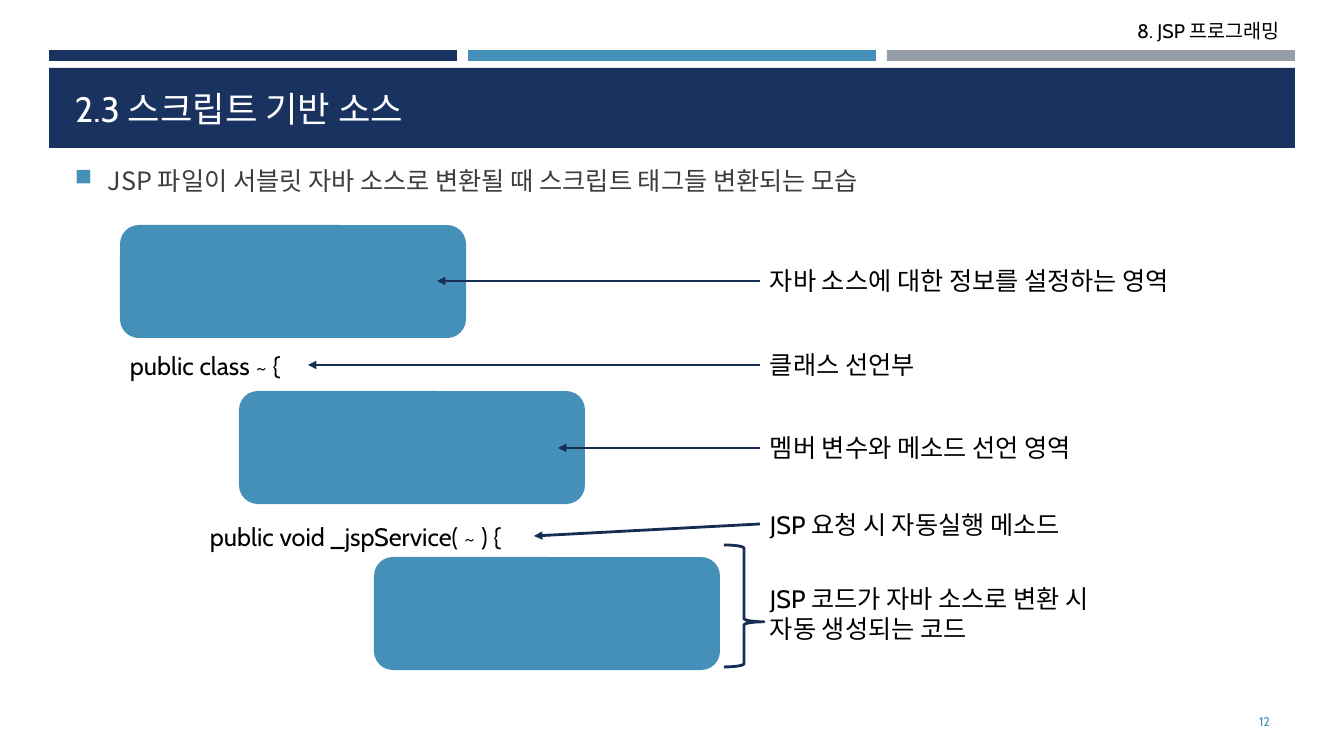
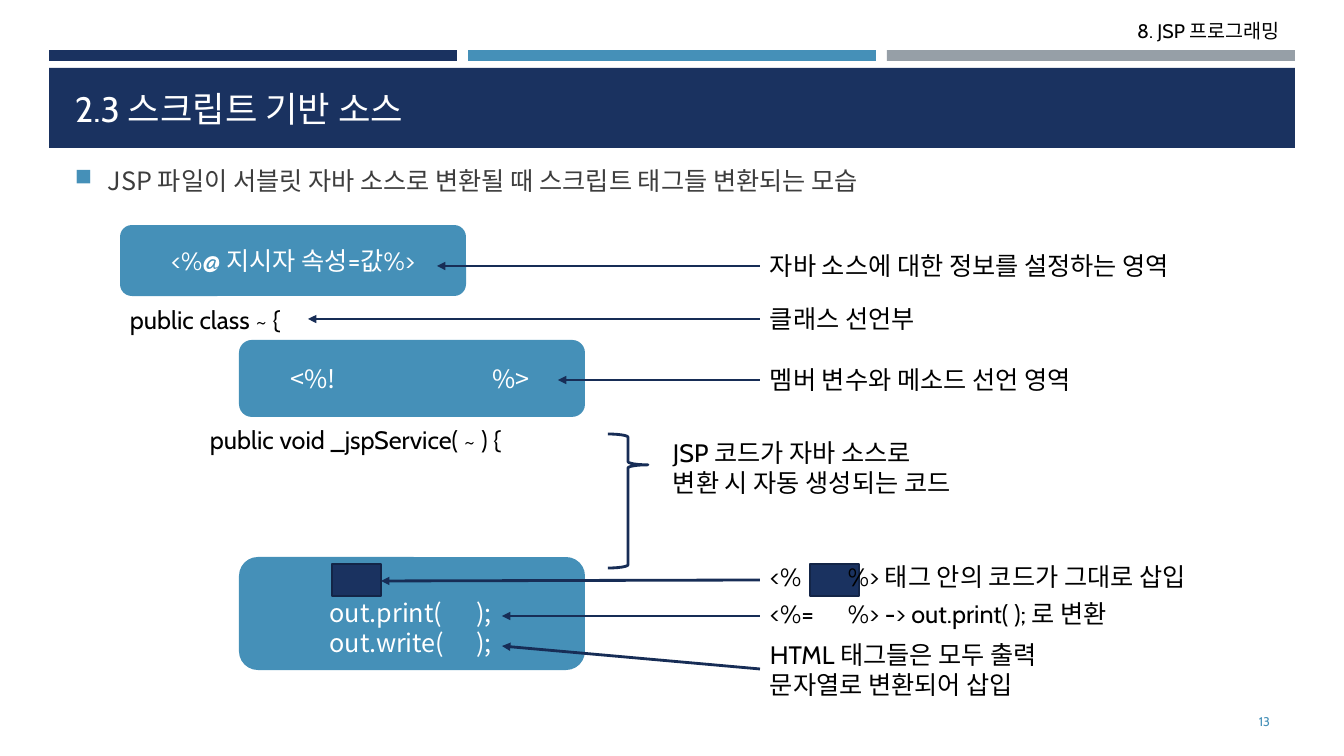
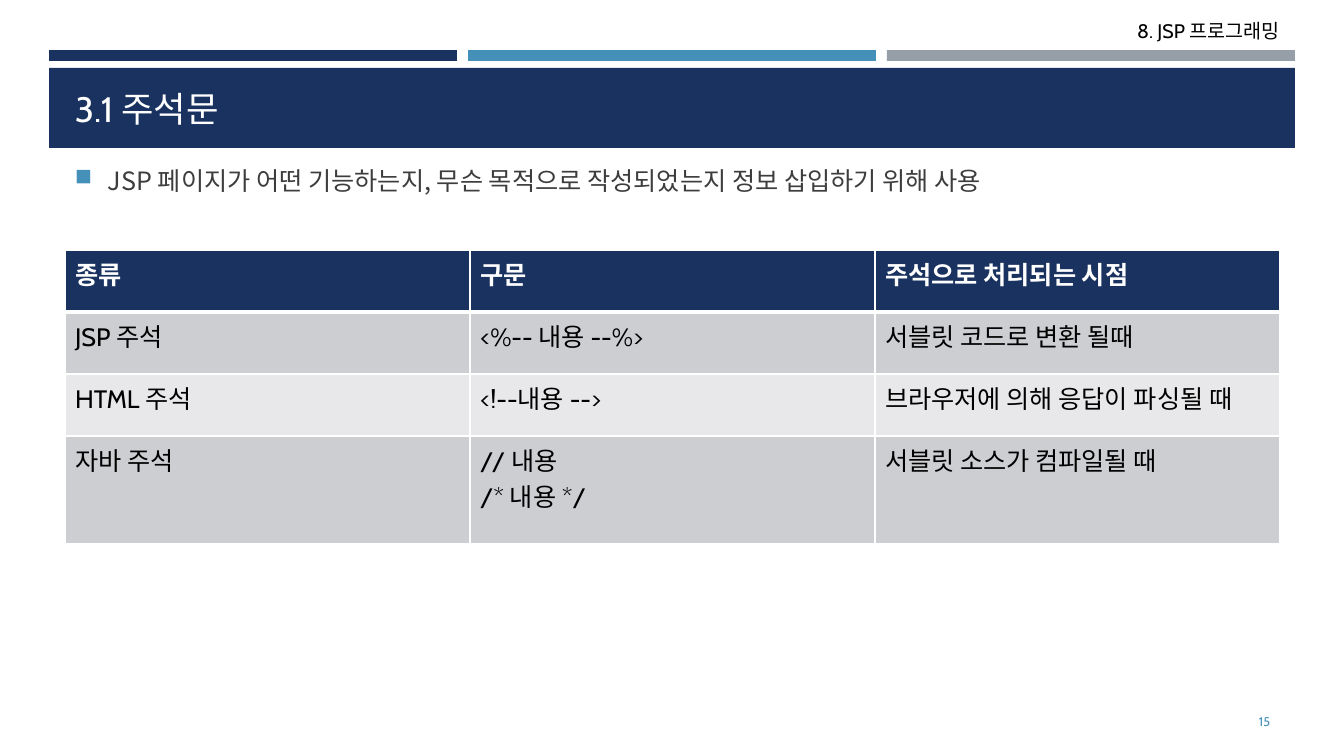
from dataclasses import dataclass

from lxml import etree
from pptx import Presentation
from pptx.dml.color import RGBColor
from pptx.enum.shapes import MSO_CONNECTOR, MSO_SHAPE
from pptx.enum.text import MSO_ANCHOR, PP_ALIGN
from pptx.oxml.ns import qn
from pptx.util import Emu, Pt

RECT = MSO_SHAPE.RECTANGLE
ROUND = MSO_SHAPE.ROUNDED_RECTANGLE
BRACE = MSO_SHAPE.RIGHT_BRACE
STRAIGHT = MSO_CONNECTOR.STRAIGHT
LEFT, CENTER, RIGHT = PP_ALIGN.LEFT, PP_ALIGN.CENTER, PP_ALIGN.RIGHT
TOP, MIDDLE, BOTTOM = MSO_ANCHOR.TOP, MSO_ANCHOR.MIDDLE, MSO_ANCHOR.BOTTOM

BLANK = 6
LINE_HEIGHT = 1.2


@dataclass(frozen=True)
class Theme:
    navy: str = "1A3260"
    blue: str = "4590B8"
    gray: str = "969FA7"
    edge: str = "132547"
    arrow: str = "172D56"
    black: str = "000000"
    white: str = "FFFFFF"
    body: str = "3D3D3D"
    row_dark: str = "CDCED2"
    row_light: str = "E8E8EA"
    latin: str = "Cabin"
    korean: str = "Noto Sans CJK KR"
    title_size: float = 25.2
    text_size: float = 18
    header_size: float = 14
    number_size: float = 9


def px(n):
    return Emu(round(n * 914400 / 100.8))


def rgb(color):
    return RGBColor.from_string(color)


def child(parent, tag, **attrs):
    return etree.SubElement(parent, qn(tag), {k: str(v) for k, v in attrs.items()})


class Deck:
    def __init__(self, theme):
        self.t = theme
        self.prs = Presentation()
        self.prs.slide_width, self.prs.slide_height = px(1344), px(756)
        self.s = None

    def new_slide(self, title, number, bullet):
        t = self.t
        self.s = self.prs.slides.add_slide(self.prs.slide_layouts[BLANK])
        for i, color in enumerate((t.navy, t.blue, t.gray)):
            self.box(RECT, 49 + 419 * i, 50, 408, 11, color)
        self.text("8. JSP 프로그래밍", 883, 14, 407, 34, t.header_size, align=RIGHT)
        self.box(RECT, 49, 68, 1246, 80, t.navy)
        self.text(title, 65, 78, 1215, 57, t.title_size, t.white, anchor=BOTTOM)
        self.text(str(number), 1164, 702, 116, 40, t.number_size, t.blue,
                  align=RIGHT, anchor=MIDDLE)
        self.bullet(bullet)

    def style(self, p, size, color, latin=None, align=LEFT, bold=False):
        p.alignment = align
        p.font.size = Pt(size)
        p.font.bold = bold
        p.font.color.rgb = rgb(color)
        p.font.name = latin or self.t.latin
        child(p._p.pPr.find(qn("a:defRPr")), "a:ea", typeface=self.t.korean)

    def fill_text(self, sp, text, size, color, latin=None, align=LEFT,
                  anchor=TOP, tab=None):
        tf = sp.text_frame
        tf.word_wrap = True
        tf.vertical_anchor = anchor
        for i, line in enumerate(text.split("\n")):
            p = tf.add_paragraph() if i else tf.paragraphs[0]
            p.text = line
            p.line_spacing = Pt(size * LINE_HEIGHT)
            if tab:
                tabs = child(p._p.get_or_add_pPr(), "a:tabLst")
                child(tabs, "a:tab", pos=px(tab), algn="l")
            self.style(p, size, color, latin, align)
        return tf

    def text(self, text, x, y, w, h, size=None, color=None, **options):
        sp = self.s.shapes.add_textbox(px(x), px(y), px(w), px(h))
        return self.fill_text(sp, text, size or self.t.text_size,
                              color or self.t.black, **options)

    def label(self, text, x, y, tab=None):
        lines = text.count("\n") + 1
        self.text(text, x, y, 520, 10 + 30 * lines, tab=tab)

    def bullet(self, text):
        tf = self.text(text, 65, 160, 1215, 50, color=self.t.body, latin=self.t.korean)
        pPr = tf.paragraphs[0]._p.pPr
        pPr.set("marL", str(px(33)))
        pPr.set("indent", str(-px(33)))
        marks = etree.Element("marks")
        child(child(marks, "a:buClr"), "a:srgbClr", val=self.t.blue)
        child(marks, "a:buSzPct", val=92000)
        child(marks, "a:buChar", char="■")
        defaults = pPr.find(qn("a:defRPr"))
        for mark in list(marks):
            defaults.addprevious(mark)

    def box(self, kind, x, y, w, h, fill=None, line=None, width=2):
        sp = self.s.shapes.add_shape(kind, px(x), px(y), px(w), px(h))
        sp.shadow.inherit = False
        if fill:
            sp.fill.solid()
            sp.fill.fore_color.rgb = rgb(fill)
        else:
            sp.fill.background()
        if line:
            sp.line.color.rgb = rgb(line)
            sp.line.width = Pt(width)
        else:
            sp.line.fill.background()
        return sp

    def area(self, x, y, h, text="", inset=10, bottom=5, **options):
        sp = self.box(ROUND, x, y, 346, h, self.t.blue)
        if text:
            tf = self.fill_text(sp, text, self.t.text_size, self.t.white, **options)
            tf.margin_left = px(inset)
            tf.margin_bottom = px(bottom)

    def code_block(self, x, y):
        self.box(RECT, x, y, 49, 32, self.t.navy, self.t.edge, 1.75)

    def brace(self, x, y, h, point):
        sp = self.box(BRACE, x, y, 40, h, line=self.t.arrow)
        sp.adjustments[0] = 0.08
        sp.adjustments[1] = point

    def arrow(self, y1, x2, y2=None):
        y2 = y1 if y2 is None else y2
        c = self.s.shapes.add_connector(STRAIGHT, px(760), px(y1), px(x2), px(y2))
        c.line.color.rgb = rgb(self.t.arrow)
        c.line.width = Pt(2)
        child(c.line._get_or_add_ln(), "a:tailEnd", type="triangle")
        child(c._element.spPr, "a:effectLst")

    def border(self, cell, bottom):
        tcPr = cell._tc.get_or_add_tcPr()
        for side in "LRTB":
            width = bottom if side == "B" else 1
            ln = child(tcPr, f"a:ln{side}", w=Pt(width))
            child(child(ln, "a:solidFill"), "a:srgbClr", val=self.t.white)

    def table(self, x, y, col_width, heights, rows):
        t = self.t
        frame = self.s.shapes.add_table(len(rows), len(rows[0]), px(x), px(y),
                                        px(col_width * len(rows[0])), px(sum(heights)))
        tbl = frame.table
        for col in tbl.columns:
            col.width = px(col_width)
        for i, (height, row) in enumerate(zip(heights, rows)):
            tbl.rows[i].height = px(height)
            head = i == 0
            fill = t.navy if head else t.row_dark if i % 2 else t.row_light
            for j, text in enumerate(row):
                cell = tbl.cell(i, j)
                cell.text = text
                self.border(cell, 3 if head else 1)
                cell.fill.solid()
                cell.fill.fore_color.rgb = rgb(fill)
                for p in cell.text_frame.paragraphs:
                    self.style(p, t.text_size, t.white if head else t.black, bold=head)


SCRIPT_TITLE = "2.3 스크립트 기반 소스"
SCRIPT_BULLET = "JSP 파일이 서블릿 자바 소스로 변환될 때 스크립트 태그들 변환되는 모습"
CLASS_CODE = "public class ~ {"
SERVICE_CODE = "public void _jspService( ~ ) {"
REGIONS = (
    ("자바 소스에 대한 정보를 설정하는 영역", 437),
    ("클래스 선언부", 308),
    ("멤버 변수와 메소드 선언 영역", 558),
)


def script_slide(deck, number, class_y, service_y, region_ys):
    deck.new_slide(SCRIPT_TITLE, number, SCRIPT_BULLET)
    deck.label(CLASS_CODE, 120, class_y)
    deck.label(SERVICE_CODE, 200, service_y)
    for (text, _), y in zip(REGIONS, region_ys):
        deck.label(text, 760, y - 21)


def region_arrows(deck, region_ys):
    for (_, x), y in zip(REGIONS, region_ys):
        deck.arrow(y, x)


def empty_areas(deck):
    ys = (281, 365, 448)
    script_slide(deck, 12, 345, 516, ys)
    for x, y in ((120, 225), (239, 391), (374, 557)):
        deck.area(x, y, 113)
    deck.label("JSP 요청 시 자동실행 메소드", 760, 504)
    deck.label("JSP 코드가 자바 소스로 변환 시\n자동 생성되는 코드", 760, 578)
    region_arrows(deck, ys)
    deck.brace(724, 545, 122, 0.63)
    deck.arrow(524, 534, 536)


def filled_areas(deck):
    korean = deck.t.korean
    ys = (266, 319, 380)
    script_slide(deck, 13, 299, 419, ys)
    deck.area(120, 225, 71, "<%@ 지시자 속성=값%>", align=CENTER, anchor=MIDDLE)
    deck.area(239, 340, 77, "<%!\t%>", inset=48, latin=korean, anchor=MIDDLE, tab=202)
    deck.area(239, 557, 113, "out.print(\t);\nout.write(\t);", inset=85, bottom=7,
              latin=korean, anchor=BOTTOM, tab=147)
    deck.label("JSP 코드가 자바 소스로\n변환 시 자동 생성되는 코드", 663, 432)
    deck.brace(608, 434, 134, 0.23)
    for x in (332, 810):
        deck.code_block(x, 564)
    deck.label("<%\t%> 태그 안의 코드가 그대로 삽입", 760, 556, tab=78)
    deck.label("<%=\t%> -> out.print( ); 로 변환", 760, 593, tab=78)
    deck.label("HTML 태그들은 모두 출력\n문자열로 변환되어 삽입", 760, 634)
    region_arrows(deck, ys)
    deck.arrow(580, 381, 581)
    deck.arrow(616, 502)
    deck.arrow(669, 502, 646)


def comment_table(deck):
    deck.new_slide("3.1 주석문", 15,
                   "JSP 페이지가 어떤 기능하는지, 무슨 목적으로 작성되었는지 정보 삽입하기 위해 사용")
    deck.table(65, 250, 405, (62, 62, 62, 108), (
        ("종류", "구문", "주석으로 처리되는 시점"),
        ("JSP 주석", "<%-- 내용 --%>", "서블릿 코드로 변환 될때"),
        ("HTML 주석", "<!--내용 -->", "브라우저에 의해 응답이 파싱될 때"),
        ("자바 주석", "// 내용\n/* 내용 */", "서블릿 소스가 컴파일될 때"),
    ))


deck = Deck(Theme())
empty_areas(deck)
filled_areas(deck)
comment_table(deck)
deck.prs.save("out.pptx")
